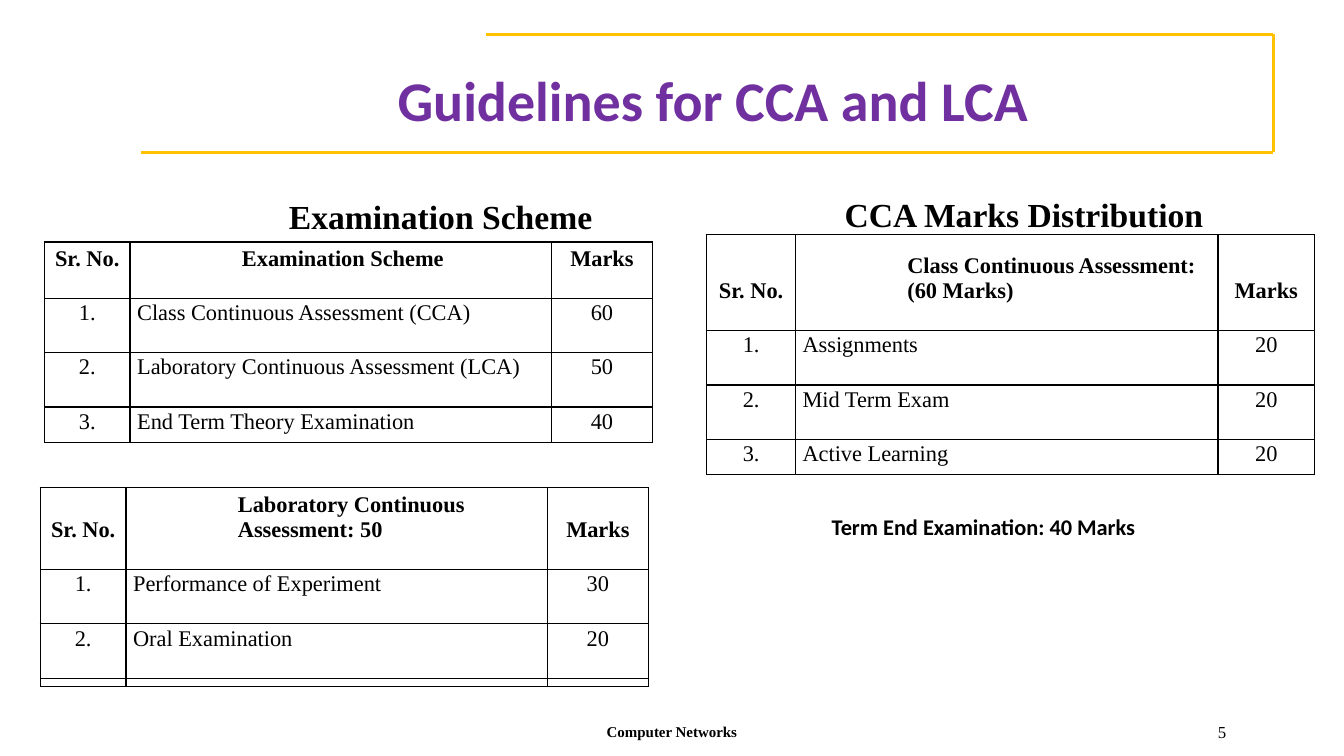
"""Build the assessment guidelines slide."""
from itertools import pairwise

from lxml import etree
from pptx import Presentation
from pptx.dml.color import RGBColor
from pptx.enum.shapes import MSO_CONNECTOR
from pptx.enum.text import MSO_ANCHOR, PP_ALIGN
from pptx.oxml.ns import qn
from pptx.util import Inches, Pt

LEFT, CENTER, RIGHT = PP_ALIGN.LEFT, PP_ALIGN.CENTER, PP_ALIGN.RIGHT
TOP, MIDDLE, BOTTOM = MSO_ANCHOR.TOP, MSO_ANCHOR.MIDDLE, MSO_ANCHOR.BOTTOM
STRAIGHT = MSO_CONNECTOR.STRAIGHT
COLORS = {"text": "000000", "title": "7030A0", "frame": "FFC100"}
SERIF, SANS = "Times New Roman", "Calibri"
ROW_HEIGHT, LAST_HEIGHT = 0.27, 0.08


def write(p, text, size=16, font=SERIF, color="text", bold=False, align=LEFT, indent=0):
    """Write formatted text into a paragraph."""
    if indent:
        pPr = p._p.get_or_add_pPr()
        pPr.set("marL", str(Inches(indent)))
        pPr.set("indent", "0")
    p.alignment = align
    r = p.add_run()
    r.text = text
    r.font.size = Pt(size)
    r.font.name = font
    r.font.bold = bold
    r.font.color.rgb = RGBColor.from_string(COLORS[color])


def add_text(s, box, text, anchor=TOP, wrap=True, **fmt):
    """Add a text box with one paragraph."""
    tf = s.shapes.add_textbox(*map(Inches, box)).text_frame
    tf.word_wrap = wrap
    tf.vertical_anchor = anchor
    write(tf.paragraphs[0], text, **fmt)


def set_borders(cell, sides):
    """Draw black borders on the given sides and none on the others."""
    tcPr = cell._tc.get_or_add_tcPr()
    for side in "LRTB":
        ln = etree.SubElement(tcPr, qn(f"a:ln{side}"), w=str(Pt(1)))
        if side in sides:
            fill = etree.SubElement(ln, qn("a:solidFill"))
            etree.SubElement(fill, qn("a:srgbClr"), val=COLORS["text"])
        else:
            etree.SubElement(ln, qn("a:noFill"))


def add_marks_table(s, box, widths, header_height, entries, closing_row=False):
    """Add a marks table in which a spacer row follows each entry."""
    count = 2 * len(entries) + closing_row
    table = s.shapes.add_table(count, len(widths), *map(Inches, box)).table
    table.first_row = table.horz_banding = False
    for column, width in zip(table.columns, widths):
        column.width = Inches(width)
    for i, row in enumerate(table.rows):
        last = i == count - 1
        height = header_height if i == 0 else LAST_HEIGHT if last else ROW_HEIGHT
        row.height = Inches(height)
        sides = "LR" + ("B" if i % 2 else "T") + ("B" if last else "")
        for j, cell in enumerate(row.cells):
            cell.margin_left = cell.margin_right = 0
            cell.margin_top = cell.margin_bottom = 0
            cell.vertical_anchor = BOTTOM
            set_borders(cell, sides)
            cell.fill.background()
            p = cell.text_frame.paragraphs[0]
            if i % 2 or i // 2 >= len(entries):
                etree.SubElement(p._p, qn("a:endParaRPr"), sz="400")
                continue
            middle = j == 1
            indent = (0.07 if i else 1.11) if middle else 0
            write(p, entries[i // 2][j], bold=i == 0,
                  align=LEFT if middle else CENTER, indent=indent)


def add_title(s, box):
    """Add the title with its open frame."""
    x, y, w, h = box
    corners = [(x + 3.42, y), (x + w, y), (x + w, y + h), (x, y + h)]
    for start, end in pairwise(corners):
        line = s.shapes.add_connector(STRAIGHT, *map(Inches, start + end))
        line.line.color.rgb = RGBColor.from_string(COLORS["frame"])
        line.line.width = Pt(2)
        etree.SubElement(line._element.spPr, qn("a:effectLst"))
    add_text(s, (x + 0.54, y - 0.03, 10.26, 1.06), "Guidelines for CCA and LCA",
             anchor=BOTTOM, size=40, font=SANS, color="title", bold=True, align=CENTER)


def add_left_column(s, x, y):
    """Add the examination scheme and the laboratory assessment."""
    widths = (0.85, 4.18, 1)
    add_text(s, (x + 2.35, y, 3.24, 0.5), "Examination Scheme",
             wrap=False, size=24, bold=True, align=CENTER)
    add_marks_table(s, (x + 0.04, y + 0.51, 6.03, 1.98), widths, 0.29, [
        ("Sr. No.", "Examination Scheme", "Marks"),
        ("1.", "Class Continuous Assessment (CCA)", "60"),
        ("2.", "Laboratory Continuous Assessment (LCA)", "50"),
        ("3.", "End Term Theory Examination", "40"),
    ])
    add_marks_table(s, (x, y + 2.95, 6.03, 1.96), widths, 0.54, [
        ("Sr. No.", "Laboratory Continuous Assessment: 50", "Marks"),
        ("1.", "Performance of Experiment", "30"),
        ("2.", "Oral Examination", "20"),
    ], closing_row=True)


def add_right_column(s, x, y):
    """Add the class assessment marks and the term end note."""
    add_text(s, (x + 1.25, y, 3.79, 0.5), "CCA Marks Distribution",
             wrap=False, size=24, bold=True, align=CENTER)
    add_marks_table(s, (x, y + 0.46, 6.03, 2.36), (0.88, 4.19, 0.96), 0.68, [
        ("Sr. No.", "Class Continuous Assessment: (60 Marks)", "Marks"),
        ("1.", "Assignments", "20"),
        ("2.", "Mid Term Exam", "20"),
        ("3.", "Active Learning", "20"),
    ])
    add_text(s, (x + 1.14, y + 3.17, 3.25, 0.37), "Term End Examination: 40 Marks",
             wrap=False, font=SANS, bold=True)


def add_footer(s, y):
    """Add the course name and the slide number."""
    add_text(s, (4.03, y, 5.27, 0.4), "Computer Networks",
             anchor=MIDDLE, size=10.7, bold=True, align=CENTER)
    add_text(s, (10.83, y, 1.43, 0.4), "5", anchor=MIDDLE, size=12, align=RIGHT)


def main():
    """Build and save the slide."""
    prs = Presentation()
    prs.slide_width, prs.slide_height = Inches(13.33), Inches(7.5)
    s = prs.slides.add_slide(prs.slide_layouts[6])
    add_title(s, (1.4, 0.34, 11.23, 1.17))
    add_left_column(s, 0.4, 1.89)
    add_right_column(s, 7.01, 1.87)
    add_footer(s, 7.06)
    prs.save("out.pptx")


if __name__ == "__main__":
    main()
